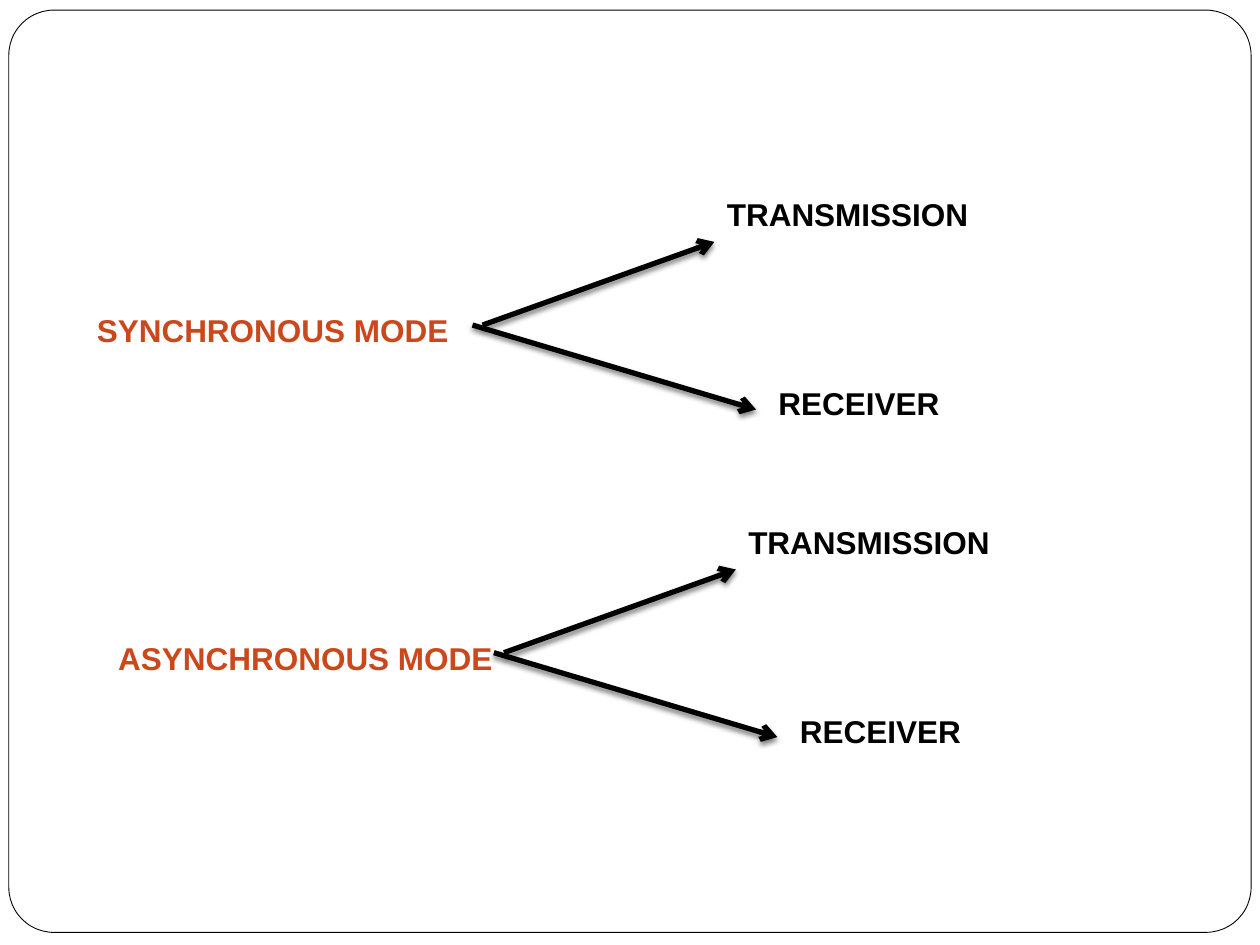
from lxml.etree import SubElement
from pptx import Presentation
from pptx.dml.color import RGBColor
from pptx.enum.shapes import MSO_CONNECTOR as Link, MSO_SHAPE as Shape
from pptx.enum.text import MSO_AUTO_SIZE as Fit
from pptx.oxml import parse_xml
from pptx.oxml.ns import nsdecls, qn
from pptx.util import Inches, Pt

BLACK, WHITE, RUST = "000000", "FFFFFF", "CA481C"

# mode name, box width, shift right, shift down
MODES = [
    ("SYNCHRONOUS MODE", 3.02, 0, 0),
    ("ASYNCHRONOUS MODE", 3.2, 0.17, 2.6),
]
NAME_AT = (0.67, 2.42)
# label, left, top, box width, arrow start, arrow end
ENDS = [
    ("TRANSMISSION", 5.67, 1.5, 2.19, (3.83, 2.58), (5.67, 1.92)),
    ("RECEIVER", 6.08, 3, 1.56, (3.75, 2.58), (6, 3.25)),
]
SHADOW = f"""<a:effectLst {nsdecls('a')}>
  <a:outerShdw blurRad="{Pt(3)}" dist="{Pt(2)}" dir="5400000" rotWithShape="0">
    <a:srgbClr val="{BLACK}"><a:alpha val="50000"/></a:srgbClr>
  </a:outerShdw>
</a:effectLst>"""


def color(code):
    return RGBColor.from_string(code)


def add_frame(slide, gap=0.07):
    box = slide.shapes.add_shape(Shape.ROUNDED_RECTANGLE, Inches(gap), Inches(0.08),
                                 Inches(10 - 2 * gap), Inches(7.32))
    box.adjustments[0] = 0.049
    box.shadow.inherit = False
    box.fill.solid()
    box.fill.fore_color.rgb = color(WHITE)
    box.line.color.rgb = color(BLACK)
    box.line.width = Pt(0.5)


def add_label(slide, text, x, y, wide, tint):
    box = slide.shapes.add_textbox(Inches(x), Inches(y), Inches(wide), Inches(0.4))
    frame = box.text_frame
    frame.word_wrap = False
    frame.auto_size = Fit.SHAPE_TO_FIT_TEXT
    run = frame.paragraphs[0].add_run()
    run.text = text
    run.font.name = "Arial"
    run.font.size = Pt(18)
    run.font.bold = True
    run.font.color.rgb = color(tint)


def add_arrow(group, start, end):
    points = [Inches(v) for v in (*start, *end)]
    arrow = group.shapes.add_connector(Link.STRAIGHT, *points)
    arrow.line.color.rgb = color(BLACK)
    arrow.line.width = Pt(3)
    SubElement(arrow.line._get_or_add_ln(), qn("a:tailEnd"), type="arrow")
    arrow._element.spPr.append(parse_xml(SHADOW))


def add_mode(slide, name, wide, dx, dy):
    def move(x, y):
        return x + dx, y + dy

    add_label(slide, name, *move(*NAME_AT), wide, RUST)
    for text, x, y, span, _, _ in ENDS:
        add_label(slide, text, *move(x, y), span, BLACK)
    group = slide.shapes.add_group_shape()
    for *_, start, end in ENDS:
        add_arrow(group, move(*start), move(*end))


def main():
    deck = Presentation()
    deck.slide_width, deck.slide_height = Inches(10), Inches(7.5)
    slide = deck.slides.add_slide(deck.slide_layouts[6])
    add_frame(slide)
    for mode in MODES:
        add_mode(slide, *mode)
    deck.save("out.pptx")


if __name__ == "__main__":
    main()
